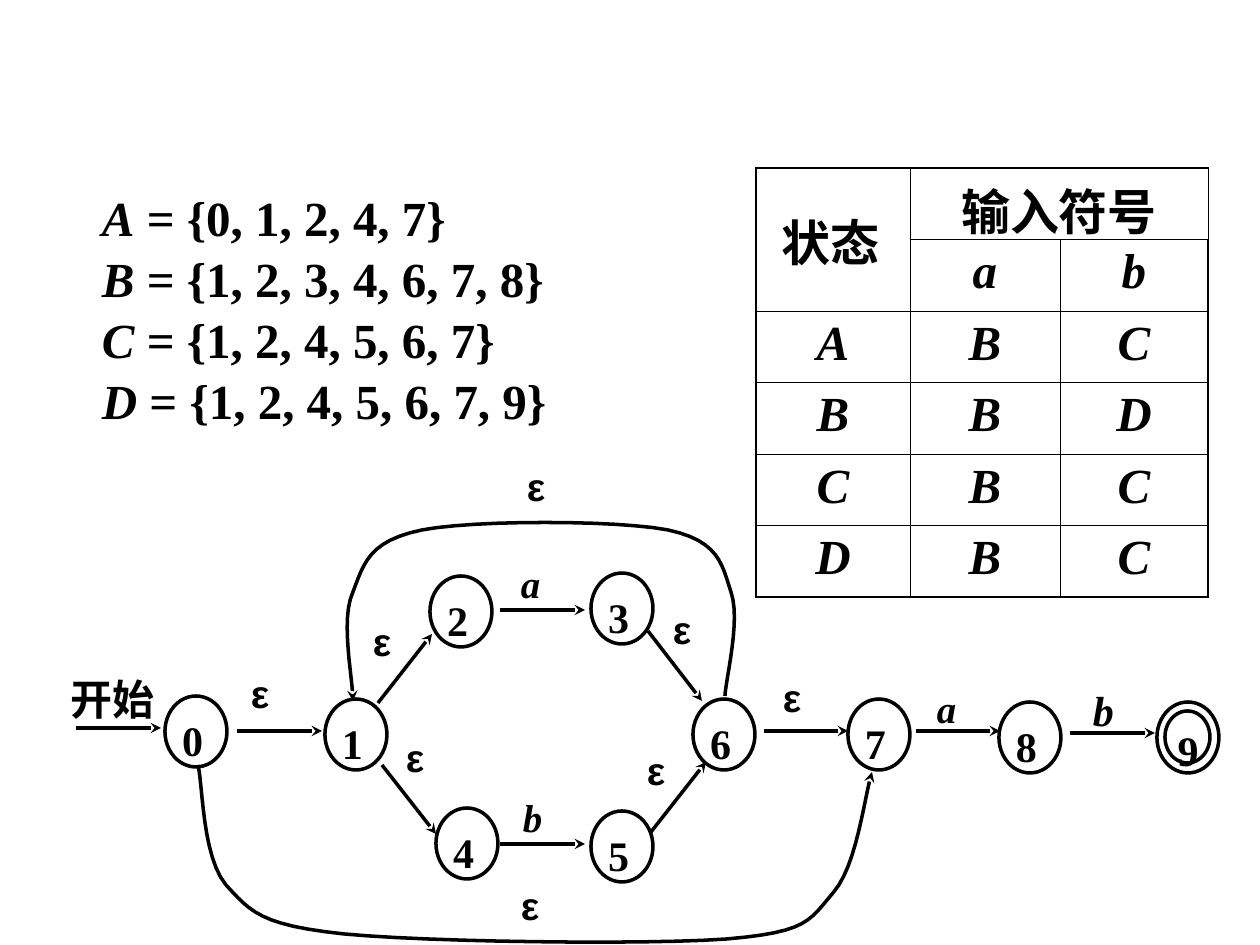
from lxml.etree import SubElement
from pptx import Presentation
from pptx.dml.color import RGBColor
from pptx.enum.shapes import MSO_CONNECTOR as Link, MSO_SHAPE as Kind
from pptx.enum.text import MSO_ANCHOR as Anchor, PP_ALIGN as Align
from pptx.oxml.ns import qn
from pptx.util import Pt

U = 7257
BLACK, WHITE = "000000", "FFFFFF"
SERIF, SANS = "Times New Roman", "Arial"
hue = RGBColor.from_string


def ink(item, tip=False):
    item.line.color.rgb = hue(BLACK)
    item.line.width = Pt(2)
    props = item.line._get_or_add_ln()
    if tip:
        SubElement(props, qn("a:tailEnd"), type="stealth")
    if not props.getparent().findall(qn("a:effectLst")):
        SubElement(props.getparent(), qn("a:effectLst"))


def say(frame, size, pad, font=SERIF, slant=False, align=Align.LEFT, gap=1.0):
    frame.word_wrap = True
    frame.margin_left, frame.margin_top, frame.margin_right, frame.margin_bottom = [n * U for n in pad]
    frame.vertical_anchor = Anchor.TOP
    for para in frame.paragraphs:
        para.alignment = align
        para.line_spacing = gap
        for run in para.runs:
            run.font.name = font
            run.font.size = Pt(size)
            run.font.bold = True
            run.font.italic = slant
            run.font.color.rgb = hue(BLACK)


deck = Presentation()
deck.slide_width, deck.slide_height = 1260 * U, 945 * U
slide = deck.slides.add_slide(deck.slide_layouts[6])
shapes = slide.shapes

nodes = [
    ("0", 165, 696), ("1", 325, 699), ("2", 430, 576), ("3", 591, 573), ("4", 436, 808),
    ("5", 591, 811), ("6", 693, 699), ("7", 848, 699), ("8", 999, 702), ("", 1157, 702), ("9", 1165, 711),
]
for name, x, y in nodes:
    wide, high = (45, 52) if name == "9" else (62, 71)
    node = shapes.add_shape(Kind.OVAL, x * U, y * U, wide * U, high * U)
    node.shadow.inherit = False
    node.fill.background()
    ink(node)
    node.text_frame.text = name
    say(node.text_frame, 24, (6, 6, 1, 0) if name == "9" else (8, 8, 3, 6))

edges = [
    (76, 728, 161, 728), (237, 731, 322, 731), (500, 610, 585, 610), (378, 703, 432, 634),
    (648, 631, 702, 701), (651, 832, 706, 762), (382, 765, 436, 834), (500, 844, 585, 844),
    (764, 731, 848, 731), (916, 731, 1000, 731), (1070, 733, 1155, 733),
]
for edge in edges:
    ink(shapes.add_connector(Link.STRAIGHT, *[n * U for n in edge]), True)

curves = [
    [(198, 765), (203, 785), (202, 856), (226, 885), (251, 912), (260, 925), (344, 934), (427, 942),
     (645, 945), (727, 939), (808, 932), (809, 921), (833, 893), (857, 866), (864, 798), (872, 772)],
    [(725, 696), (726, 678), (741, 620), (731, 592), (722, 564), (719, 541), (668, 530), (616, 520),
     (474, 520), (422, 530), (369, 541), (364, 563), (353, 592), (340, 620), (353, 678), (353, 701)],
]
STEPS = 12
for curve in curves:
    spots = []
    for i in range(0, len(curve) - 1, 3):
        for step in range(1, STEPS + 1):
            t = step / STEPS
            parts = ((1 - t) ** 3, 3 * t * (1 - t) ** 2, 3 * t * t * (1 - t), t ** 3)
            spots.append([round(U * sum(w * p[k] for w, p in zip(parts, curve[i:i + 4]))) for k in (0, 1)])
    pen = shapes.build_freeform(curve[0][0] * U, curve[0][1] * U)
    pen.add_line_segments(spots, close=False)
    arc = pen.convert_to_shape()
    arc.shadow.inherit = False
    arc.fill.background()
    ink(arc, True)

labels = [
    ("开始", 63, 669, 24), ("a", 513, 552, 22.2), ("b", 515, 786, 22.2), ("a", 929, 677, 22.2),
    ("b", 1085, 677, 24),
]
labels += [("ε", x, y, 22.2) for x, y in [
    (243, 669), (365, 617), (398, 733), (665, 605), (639, 746), (513, 881), (519, 462), (775, 673)]]
for text, x, y, size in labels:
    label = shapes.add_textbox(x * U, y * U, (100 if text == "开始" else 54) * U, 57 * U)
    label.text_frame.text = text
    top = {"开始": 4, "ε": 6}.get(text, 8)
    greek = text == "ε"
    say(label.text_frame, size, (8, top, 8, 4), SANS if greek else SERIF, text in "ab",
        gap=0.9 if greek else 1.0)

rows = [("", "输入符号", ""), ("", "a", "b"), "ABC", "BBD", "CBC", "DBC"]
table = shapes.add_table(6, 3, 756 * U, 168 * U, 452 * U, 429 * U).table
table.first_row = table.horz_banding = False
for col, wide in zip(table.columns, (154, 150, 148)):
    col.width = wide * U
for r, row in enumerate(rows):
    table.rows[r].height = (71 + r % 2) * U
    for c, text in enumerate(row):
        cell = table.cell(r, c)
        cell.text = text
        say(cell.text_frame, 28, (8, 6, 8, 6), slant=len(text) == 1, align=Align.CENTER)
        cell.margin_left = cell.margin_right = 8 * U
        cell.margin_top = cell.margin_bottom = 6 * U
        props = cell._tc.get_or_add_tcPr()
        for side, outer in (("L", c == 0), ("R", c == 2), ("T", r == 0), ("B", r == 5)):
            rule = SubElement(props, qn(f"a:ln{side}"), w=str(Pt(1.08 if outer else 0.45)))
            SubElement(SubElement(rule, qn("a:solidFill")), qn("a:srgbClr"), val=BLACK)
        cell.fill.background()
table.cell(0, 0).merge(table.cell(1, 0))
table.cell(0, 1).merge(table.cell(0, 2))

state = shapes.add_shape(Kind.RECTANGLE, 773 * U, 189 * U, 116 * U, 105 * U)
state.text_frame.text = "状态"
say(state.text_frame, 28, (8, 4, 8, 4), align=Align.CENTER)
state.text_frame.vertical_anchor = Anchor.MIDDLE

sets = shapes.add_shape(Kind.RECTANGLE, 94 * U, 179 * U, 504 * U, 273 * U)
frame = sets.text_frame
items = [("A", "0, 1, 2, 4, 7"), ("B", "1, 2, 3, 4, 6, 7, 8"), ("C", "1, 2, 4, 5, 6, 7"), ("D", "1, 2, 4, 5, 6, 7, 9")]
frame.text = "\n".join(name for name, _ in items)
for para, (_, states) in zip(frame.paragraphs, items):
    para.add_run().text = f" = {{{states}}}"
say(frame, 28, (8, 6, 8, 4), gap=1.04)
for para in frame.paragraphs:
    para.runs[0].font.italic = True

for panel in (state, sets):
    panel.shadow.inherit = False
    panel.fill.solid()
    panel.fill.fore_color.rgb = hue(WHITE)
    panel.line.fill.background()

deck.save("out.pptx")
